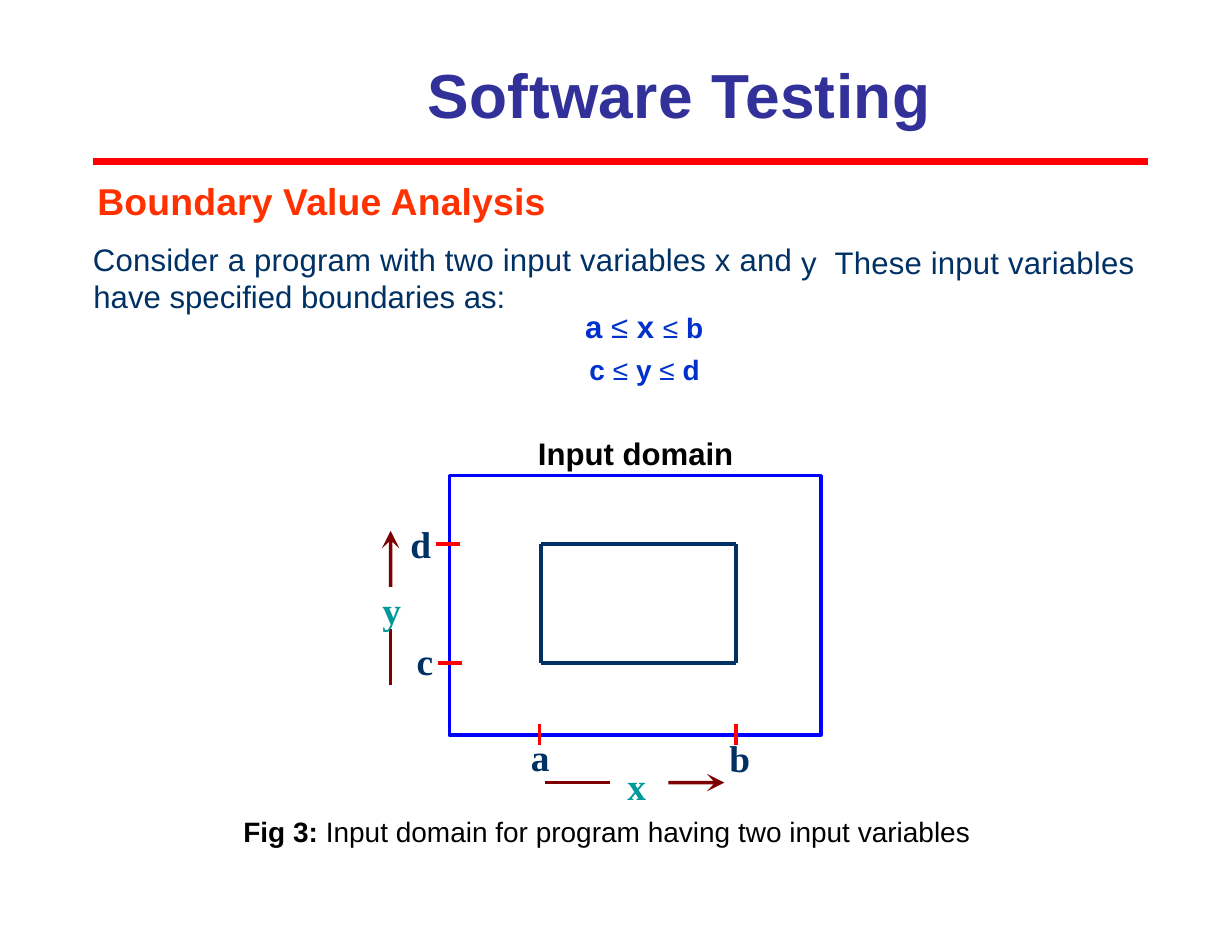
from lxml import etree
from pptx import Presentation
from pptx.dml.color import RGBColor
from pptx.enum import shapes, text
from pptx.oxml.ns import qn
from pptx.util import Cm, Pt

COLORS = {
    "title": "313199", "heading": "FF3100", "navy": "003164", "formula": "0031CC",
    "black": "000000", "teal": "009999", "red": "FF0000", "blue": "0000FF",
    "maroon": "7E0000",
}
ARIAL, TIMES = "Arial", "Times New Roman"
BODY_LINE = Pt(21.5)


def para(runs, color, spacing, before=0, indent=0.03, tracking=0):
    """Runs are (text, bold, size); indent in cm, before and tracking in points."""
    return runs, color, spacing, before, indent, tracking


def body(words, color="navy", bold=False, tracking=0):
    return [para([(words, bold, 20)], color, BODY_LINE, tracking=tracking)]


# Left, top, width, height in cm, font, paragraphs
TEXTS = [
    (9.67, 1.5, 14.5, 1.47, ARIAL,
     [para([("Software Testing", True, 40)], "title", Pt(41.9), tracking=0.3)]),
    (2.08, 4.16, 16.05, 2.24, ARIAL, [
        para([("Boundary Value Analysis", True, 24)], "heading", Pt(25.6),
             indent=0.13, tracking=0.12),
        para([("Consider a program with two input variables x and", False, 20)],
             "navy", 0.96, before=12.8, tracking=0.12)]),
    (18.14, 5.6, 0.53, 0.79, ARIAL, body("y")),
    (18.9, 5.6, 7.3, 0.79, ARIAL, body("These input variables", tracking=0.1)),
    (2.09, 6.37, 9.8, 0.79, ARIAL, body("have specified boundaries as:")),
    (13.24, 7.05, 3, 1.78, ARIAL, [
        para([("a ", True, 20), ("≤ ", False, 20), ("x ", True, 20),
              ("≤ ", False, 18), ("b", True, 18)], "formula", BODY_LINE),
        para([("c ", True, 18), ("≤ ", False, 18), ("y ", True, 18),
              ("≤ ", False, 18), ("d", True, 18)], "formula", 0.96,
             before=6.4, indent=0.13)]),
    (12.17, 9.93, 4.8, 0.79, ARIAL, body("Input domain", "black", True)),
    (5.49, 18.54, 17, 0.71, ARIAL,
     [para([("Fig 3: ", True, 18),
            ("Input domain for program having two input variables", False, 18)],
           "black", Pt(19.4))]),
]

AXIS_LABELS = [
    ("d", 9.28, 11.94, "navy"), ("y", 8.64, 13.43, "teal"),
    ("c", 9.42, 14.6, "navy"), ("a", 12.01, 16.76, "navy"),
    ("b", 16.51, 16.8, "navy"), ("x", 14.2, 17.43, "teal"),
]

# Left, top, right, bottom in cm
DOMAIN = (10.19, 10.79, 18.62, 16.67)
VALID = (12.27, 12.34, 16.69, 15.04)
TICK = 0.27
Y_AXIS, X_AXIS = 8.86, 17.75
# Upper half of an arrow: distance back from the tip, distance off the axis
ARROW_HALF = [(0.4, 0.2), (0.25, 0.04), (1.27, 0.04)]

prs = Presentation()
prs.slide_width, prs.slide_height = Cm(27.94), Cm(21.59)
slide = prs.slides.add_slide(prs.slide_layouts[6])


def rgb(name):
    return RGBColor.from_string(COLORS[name])


def add_text(left, top, width, height, font, paragraphs):
    frame = slide.shapes.add_textbox(Cm(left), Cm(top), Cm(width), Cm(height)).text_frame
    frame.word_wrap = True
    frame.margin_left = frame.margin_right = frame.margin_top = frame.margin_bottom = 0
    frame.vertical_anchor = text.MSO_ANCHOR.TOP
    for i, (runs, color, spacing, before, indent, tracking) in enumerate(paragraphs):
        paragraph = frame.add_paragraph() if i else frame.paragraphs[0]
        paragraph.line_spacing = spacing
        if before:
            paragraph.space_before = Pt(before)
        paragraph._p.get_or_add_pPr().set("marL", str(Cm(indent)))
        paragraph.font.name = font
        paragraph.font.color.rgb = rgb(color)
        for words, bold, size in runs:
            run = paragraph.add_run()
            run.text = words
            run.font.bold, run.font.size = bold, Pt(size)
            if tracking:
                run._r.get_or_add_rPr().set("spc", str(round(tracking * 100)))


def add_frame(box, color):
    left, top, right, bottom = box
    frame = slide.shapes.add_shape(shapes.MSO_SHAPE.RECTANGLE, Cm(left), Cm(top),
                                   Cm(right - left), Cm(bottom - top))
    frame.shadow.inherit = False
    frame.fill.background()
    frame.line.color.rgb, frame.line.width = rgb(color), Pt(2.25)


def add_line(x1, y1, x2, y2, color, width=2.25):
    line = slide.shapes.add_connector(shapes.MSO_CONNECTOR.STRAIGHT,
                                      Cm(x1), Cm(y1), Cm(x2), Cm(y2))
    line.line.color.rgb, line.line.width = rgb(color), Pt(width)
    etree.SubElement(line._element.spPr, qn("a:effectLst"))


def add_arrow(tip_x, tip_y, upward):
    """Draw a swept-back arrow ending at the tip, pointing up or right."""
    outline = [(0, 0)] + ARROW_HALF + [(back, -off) for back, off in ARROW_HALF[::-1]]
    points = [(Cm(tip_x + off), Cm(tip_y + back)) if upward
              else (Cm(tip_x - back), Cm(tip_y + off)) for back, off in outline]
    builder = slide.shapes.build_freeform(*points[0])
    builder.add_line_segments(points[1:], close=True)
    arrow = builder.convert_to_shape()
    arrow.shadow.inherit = False
    arrow.fill.solid()
    arrow.fill.fore_color.rgb = rgb("maroon")
    arrow.line.fill.background()


add_line(2.11, 3.66, 26.04, 3.66, "red", 4.5)
add_frame(DOMAIN, "blue")

left, top, right, bottom = VALID
for y in (top, bottom):
    add_line(left, y, right, y, "navy")
for x in (left, right):
    add_line(x, top, x, bottom, "navy")

for x, y in ((10.16, top), (10.2, bottom)):
    add_line(x - TICK, y, x + TICK, y, "red")
for x in (12.24, right):
    add_line(x, 16.89, x, 16.41, "red")

add_arrow(Y_AXIS, 12.04, upward=True)
add_line(Y_AXIS, 14.27, Y_AXIS, 15.54, "maroon")
add_line(13.84, X_AXIS, 12.37, X_AXIS, "maroon")
add_arrow(16.43, X_AXIS, upward=False)

for box in TEXTS:
    add_text(*box)
for letter, x, y, color in AXIS_LABELS:
    add_text(x, y, 0.66, 0.91, TIMES, [para([(letter, True, 24)], color, Pt(25.5))])

prs.save("out.pptx")
